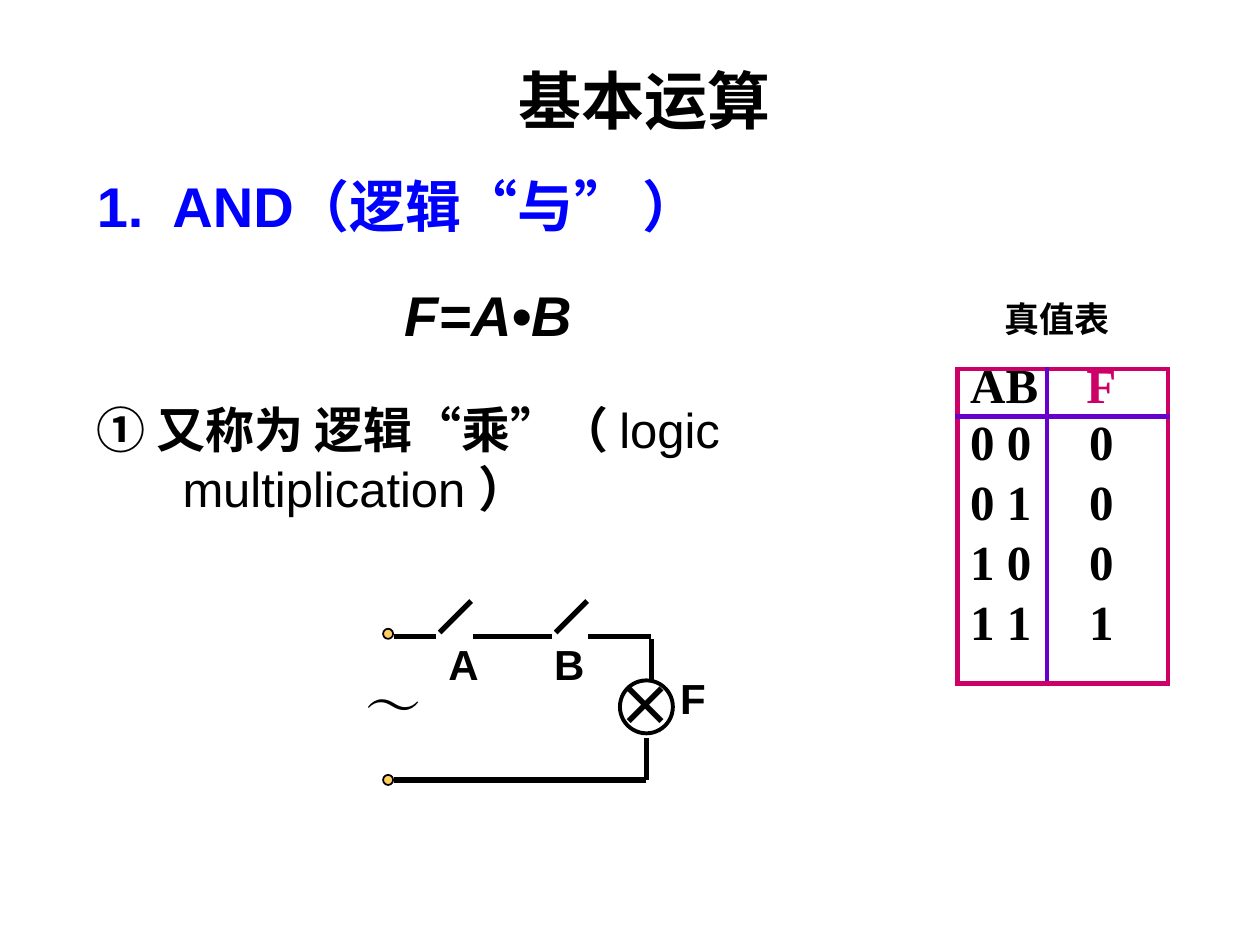
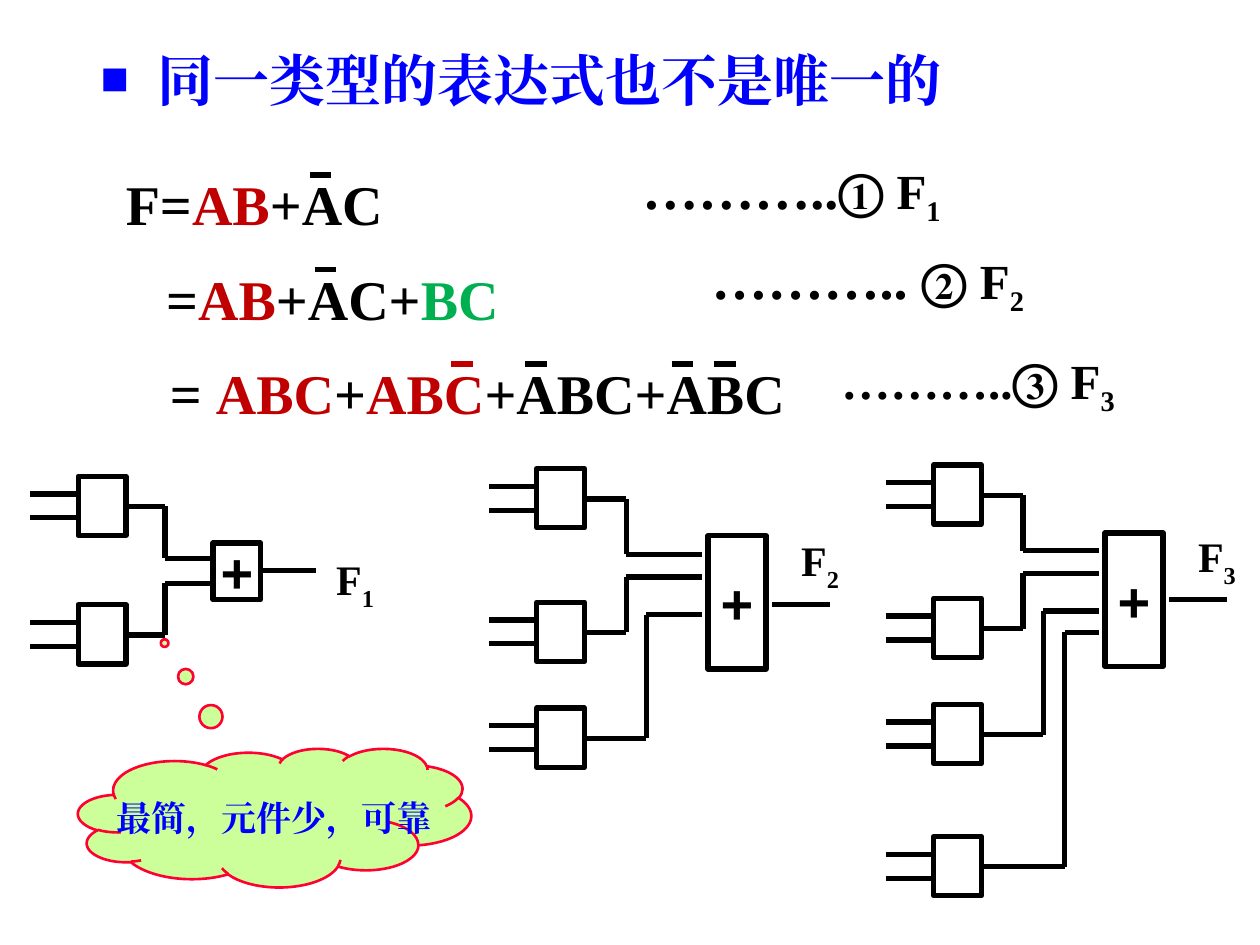
import itertools

import pptx
import pptx.dml.color
import pptx.enum.shapes
import pptx.enum.text
import pptx.oxml.ns
import pptx.util
from lxml import etree

Inches = pptx.util.Inches
Pt = pptx.util.Pt
qn = pptx.oxml.ns.qn
SHAPE = pptx.enum.shapes.MSO_SHAPE
CENTER = pptx.enum.text.PP_ALIGN.CENTER
MIDDLE = pptx.enum.text.MSO_ANCHOR.MIDDLE

ARIAL, TIMES, CJK = "Arial", "Times New Roman", "Noto Sans CJK SC"
BLACK, BLUE, WHITE = "000000", "0000FF", "FFFFFF"
RED, GREEN, MAGENTA, PURPLE = "C00000", "00B050", "CC0066", "6600CC"
TERMINAL, CLOUD, CLOUD_EDGE = "FFCC66", "CCFF99", "FF0033"

AND_HEADING = [("1.\tAND（", {}), ("逻辑“与” ", {"font": CJK}), ("）", {})]
AND_ALIAS = [
    ("① 又称为 ", {"font": CJK}),
    ("逻辑“乘”（", {}),
    (" logic multiplication ", {"bold": False}),
    ("）", {}),
]
TRUTH_TABLE = [("AB", "F"), ("0 0", "0"), ("0 1", "0"), ("1 0", "0"), ("1 1", "1")]
TRUTH_AT = (7.6, 2.93)
TRUTH_COLUMNS = (0.71, 0.96)
TRUTH_ROWS = (0.36, 0.48, 0.47, 0.48, 0.69)

LAMP_WIRES = [
    [(3.13, 5.05), (3.46, 5.05)],
    [(3.49, 5.02), (3.74, 4.77)],
    [(3.75, 5.05), (4.38, 5.05)],
    [(4.41, 5.02), (4.66, 4.77)],
    [(4.67, 5.05), (5.17, 5.05)],
    [(5.17, 5.07), (5.17, 5.4)],
    [(5.13, 5.86), (5.13, 6.19), (3.13, 6.19)],
]
LAMP_LABELS = [("A", 3.46, 5.02), ("B", 4.3, 5.02), ("F", 5.3, 5.29)]
TERMINAL_TOPS = (4.99, 6.15)

EQUATIONS = [
    (0.9, 1.3, [("F=", BLACK), ("AB", RED), ("+AC", BLACK)],
     [(2.46, BLACK)]),
    (1.22, 2.05, [("=", BLACK), ("AB", RED), ("+AC+", BLACK), ("BC", GREEN)],
     [(2.5, BLACK)]),
    (1.25, 2.8, [("= ", BLACK), ("ABC", RED), ("+", BLACK), ("ABC", RED),
                 ("+ABC+ABC", BLACK)],
     [(3.58, RED), (4.17, BLACK), (5.33, BLACK), (5.67, BLACK)]),
]
REFERENCES = [
    (5, 1.17, "………..", 32, "① F", "1"),
    (5.55, 1.88, "……….. ", 32, "② F", "2"),
    (6.58, 2.73, "………..", 28, "③ F", "3"),
]

GATE_W, GATE_H, INPUT_LENGTH = 0.38, 0.47, 0.38
INPUT_OFFSETS, OUTPUT_OFFSET = (0.14, 0.33), 0.24
NETWORKS = [
    {"left": 0.62, "gates": [3.78, 4.8], "bends": [0.69, 0.69],
     "entries": [4.43, 4.63], "sum": (1.69, 4.31, 0.38, 0.45), "gap": 0,
     "output": (4.53, 0.44), "label": ("1", 2.57, 4.34)},
    {"left": 4.26, "gates": [3.72, 4.78, 5.62], "bends": [0.71, 0.71, 0.87],
     "entries": [4.4, 4.58, 4.88], "sum": (5.62, 4.25, 0.46, 1.06), "gap": 0.05,
     "output": (4.8, 0.46), "label": ("2", 6.26, 4.19)},
    {"left": 7.41, "gates": [3.69, 4.75, 5.59, 6.64],
     "bends": [0.71, 0.71, 0.87, 1.04],
     "entries": [4.37, 4.55, 4.85, 5.02], "sum": (8.77, 4.23, 0.46, 1.06),
     "gap": 0.05, "output": (4.76, 0.46), "label": ("3", 9.41, 4.16)},
]


def rgb(color):
    return pptx.dml.color.RGBColor.from_string(color)


def write(paragraph, runs, size, font=ARIAL, color=BLACK, bold=True, italic=False):
    for text, changes in runs:
        style = {"size": size, "font": font, "color": color, "bold": bold} | changes
        run = paragraph.add_run()
        run.text = text
        run.font.size = Pt(style["size"])
        run.font.bold = style["bold"]
        run.font.italic = italic
        run.font.color.rgb = rgb(style["color"])
        run.font.name = style["font"]
        properties = run.font._element
        east_asian = etree.SubElement(properties, qn("a:ea"))
        east_asian.set("typeface", TIMES if style["font"] == TIMES else CJK)
        if "baseline" in style:
            properties.set("baseline", str(style["baseline"] * 1000))


def add_text(slide, left, top, width, height, runs, size, align=None, hanging=0,
             **style):
    box = slide.shapes.add_textbox(*map(Inches, (left, top, width, height)))
    box.text_frame.word_wrap = True
    paragraph = box.text_frame.paragraphs[0]
    paragraph.alignment = align
    if hanging:
        properties = paragraph._p.get_or_add_pPr()
        properties.set("marL", str(Inches(hanging)))
        properties.set("indent", str(-Inches(hanging)))
    write(paragraph, [(runs, {})] if isinstance(runs, str) else runs, size, **style)
    return paragraph


def add_outline(slide, kind, left, top, width, height, line=BLACK, weight=3, fill=None):
    shape = slide.shapes.add_shape(kind, *map(Inches, (left, top, width, height)))
    shape.shadow.inherit = False
    if fill:
        shape.fill.solid()
        shape.fill.fore_color.rgb = rgb(fill)
    else:
        shape.fill.background()
    shape.line.color.rgb = rgb(line)
    shape.line.width = Pt(weight)
    return shape


def add_wire(slide, points, color=BLACK):
    for start, end in itertools.pairwise(points):
        wire = slide.shapes.add_connector(
            pptx.enum.shapes.MSO_CONNECTOR.STRAIGHT, *map(Inches, start + end))
        wire.line.color.rgb = rgb(color)
        wire.line.width = Pt(3)
        etree.SubElement(wire._element.spPr, qn("a:effectLst"))


def set_borders(cell, colors):
    properties = cell._tc.get_or_add_tcPr()
    for index, (side, color) in enumerate(colors.items()):
        border = etree.Element(qn("a:" + side), w=str(Pt(3) if color else 0))
        if color:
            fill = etree.SubElement(border, qn("a:solidFill"))
            etree.SubElement(fill, qn("a:srgbClr"), val=color)
        else:
            etree.SubElement(border, qn("a:noFill"))
        properties.insert(index, border)


def add_truth_table(slide):
    size = (sum(TRUTH_COLUMNS), sum(TRUTH_ROWS))
    table = slide.shapes.add_table(
        len(TRUTH_ROWS), len(TRUTH_COLUMNS), *map(Inches, TRUTH_AT + size)).table
    for column, width in zip(table.columns, TRUTH_COLUMNS):
        column.width = Inches(width)
    last = len(TRUTH_ROWS) - 1
    for r, (values, height) in enumerate(zip(TRUTH_TABLE, TRUTH_ROWS)):
        table.rows[r].height = Inches(height)
        for c, value in enumerate(values):
            cell = table.cell(r, c)
            cell.fill.solid()
            cell.fill.fore_color.rgb = rgb(WHITE)
            cell.margin_left = Inches(0 if c else 0.1)
            cell.margin_right = Inches(0.1 if c else 0)
            cell.margin_top = Inches(0.11 if r else 0)
            cell.margin_bottom = 0
            paragraph = cell.text_frame.paragraphs[0]
            paragraph.line_spacing = 0.8 if r == 0 else 0.7
            paragraph.alignment = CENTER if c else None
            write(paragraph, [(value, {})], 28, font=TIMES,
                  color=MAGENTA if (r, c) == (0, 1) else BLACK)
            set_borders(cell, {
                "lnL": PURPLE if c else MAGENTA,
                "lnR": MAGENTA if c else PURPLE,
                "lnT": {0: MAGENTA, 1: PURPLE}.get(r),
                "lnB": {0: PURPLE, last: MAGENTA}.get(r),
            })


def add_lamp_circuit(slide):
    for points in LAMP_WIRES:
        add_wire(slide, points)
    add_text(slide, 4.8, 5.27, 0.83, 0.63, "×", 32, font=CJK)
    add_outline(slide, SHAPE.OVAL, 4.92, 5.4, 0.42, 0.42, weight=2.25)
    for top in TERMINAL_TOPS:
        add_outline(slide, SHAPE.OVAL, 3.04, top, 0.08, 0.08, weight=1, fill=TERMINAL)
    add_text(slide, 2.8, 5.27, 0.58, 0.63, "～", 32, font=TIMES, bold=False)
    for label, left, top in LAMP_LABELS:
        add_text(slide, left, top, 0.83, 0.5, label, 24)


def add_network(slide, network):
    left = network["left"]
    sum_left, sum_top, sum_width, sum_height = network["sum"]
    for top, bend, entry in zip(network["gates"], network["bends"], network["entries"]):
        add_outline(slide, SHAPE.RECTANGLE, left, top, GATE_W, GATE_H)
        for offset in INPUT_OFFSETS:
            add_wire(slide, [(left - INPUT_LENGTH, top + offset), (left, top + offset)])
        output = top + OUTPUT_OFFSET
        add_wire(slide, [(left + GATE_W, output), (left + bend, output),
                         (left + bend, entry), (sum_left - network["gap"], entry)])

    adder = add_outline(slide, SHAPE.RECTANGLE, sum_left, sum_top, sum_width, sum_height)
    adder.text_frame.word_wrap = False
    adder.text_frame.vertical_anchor = MIDDLE
    paragraph = adder.text_frame.paragraphs[0]
    paragraph.alignment = CENTER
    write(paragraph, [("+", {})], 32)

    y, length = network["output"]
    start = sum_left + sum_width + network["gap"]
    add_wire(slide, [(start, y), (start + length, y)])
    number, label_left, label_top = network["label"]
    add_text(slide, label_left, label_top, 0.58, 0.5,
             [("F", {}), (number, {"baseline": -30})], 24, font=TIMES)


def build_and_slide(slide):
    add_text(slide, 1.06, 0.44, 8.11, 0.71, "基本运算", 36, align=CENTER)
    add_text(slide, 0.67, 1.31, 7.4, 0.64, AND_HEADING, 32, hanging=0.6, color=BLUE)
    add_text(slide, 3.11, 2.18, 2.17, 0.63, "F=A•B", 32, italic=True)
    add_text(slide, 0.67, 3.12, 6.69, 1.04, AND_ALIAS, 28, hanging=0.68)
    add_text(slide, 7.52, 2.31, 1.74, 0.44, "真值表", 20, align=CENTER)
    add_truth_table(slide)
    add_lamp_circuit(slide)


def build_expression_slide(slide):
    heading = add_text(slide, 0.7, 0.31, 8.6, 0.64, "同一类型的表达式也不是唯一的", 32,
                       hanging=0.45, font=TIMES, color=BLUE)
    properties = heading._p.get_or_add_pPr()
    etree.SubElement(properties, qn("a:buSzPct"), val="84000")
    etree.SubElement(properties, qn("a:buFont"), typeface=TIMES)
    etree.SubElement(properties, qn("a:buChar"), char="■")

    for left, top, terms, bars in EQUATIONS:
        runs = [(term, {"color": color}) for term, color in terms]
        add_text(slide, left, top, 5.25, 0.63, runs, 32, font=TIMES)
        for start, color in bars:
            add_wire(slide, [(start, top + 0.09), (start + 0.17, top + 0.09)], color)
    for left, top, dots, dot_size, name, number in REFERENCES:
        runs = [(dots, {"size": dot_size}), (name, {}), (number, {"baseline": -25})]
        add_text(slide, left, top, 3.33, 0.63, runs, 28, font=TIMES)

    for network in NETWORKS:
        add_network(slide, network)

    cloud = add_outline(slide, SHAPE.CLOUD_CALLOUT, 0.62, 5.94, 3.12, 1.1,
                        line=CLOUD_EDGE, weight=1.5, fill=CLOUD)
    cloud.adjustments[0] = -0.28
    cloud.adjustments[1] = -1.26
    add_text(slide, 0.77, 6.27, 2.81, 0.44, "最简，元件少，可靠", 20,
             align=CENTER, font=TIMES, color=BLUE)


def main():
    deck = pptx.Presentation()
    deck.slide_width, deck.slide_height = Inches(10), Inches(7.5)
    for build in (build_and_slide, build_expression_slide):
        build(deck.slides.add_slide(deck.slide_layouts[6]))
    deck.save("out.pptx")


if __name__ == "__main__":
    main()
